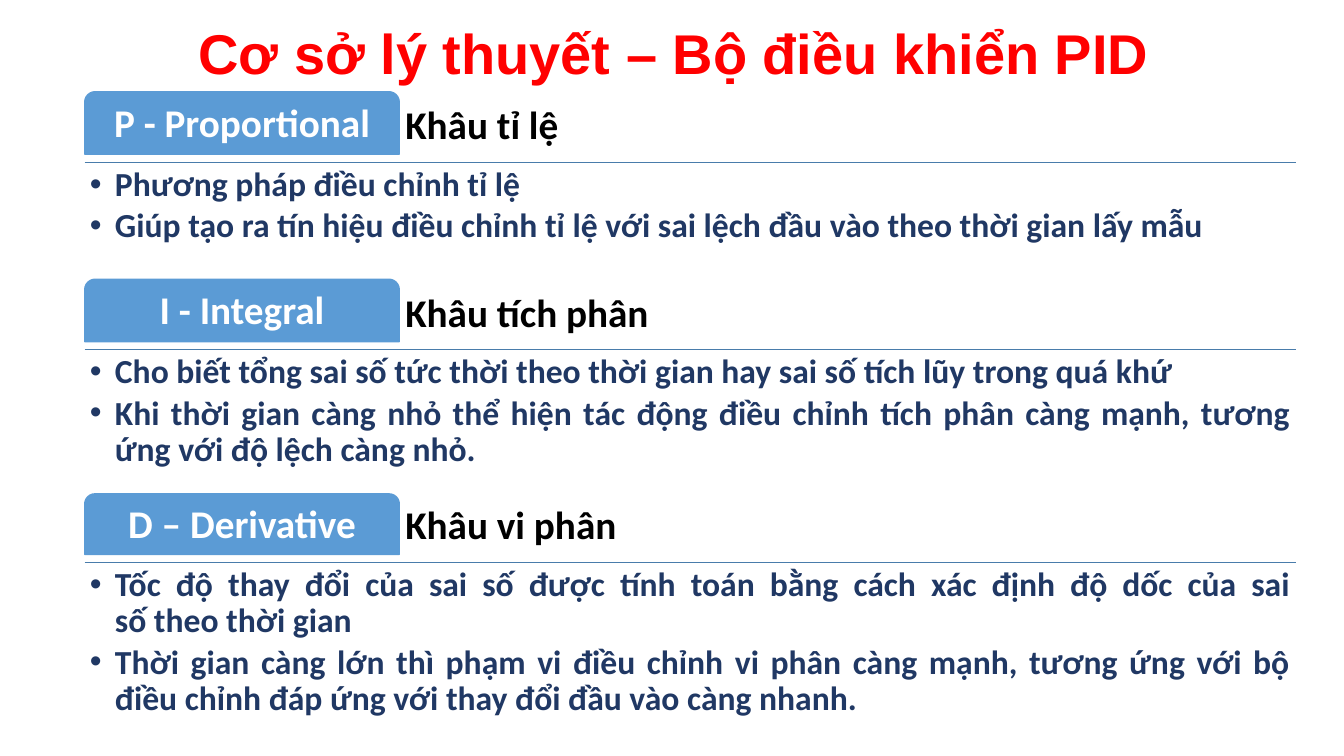
from dataclasses import dataclass

import pptx
import pptx.dml.color
import pptx.enum.shapes
import pptx.enum.text
import pptx.oxml
import pptx.oxml.ns
import pptx.util

Inches = pptx.util.Inches
Pt = pptx.util.Pt
Align = pptx.enum.text.PP_ALIGN
Anchor = pptx.enum.text.MSO_ANCHOR


@dataclass(frozen=True)
class Theme:
    title_font: str = "Arial"
    body_font: str = "Calibri"
    title_size: int = 40
    heading_size: int = 28
    bullet_size: int = 24
    red: str = "FF0000"
    blue: str = "5B9BD5"
    rule: str = "497CAB"
    navy: str = "203864"
    black: str = "000000"
    white: str = "FFFFFF"


THEME = Theme()
LEFT, WIDTH = 0.84, 12.01
TAB_WIDTH = 3.12
RULE_GAP = 0.08  # from the bottom of a tab to its rule

# Tab top, tab height, list height, tab text, heading, bullets
SECTIONS = [
    (0.91, 0.62, 1.13, "P - Proportional", "Khâu tỉ lệ", [
        "Phương pháp điều chỉnh tỉ lệ",
        "Giúp tạo ra tín hiệu điều chỉnh tỉ lệ với sai lệch đầu vào theo thời gian lấy mẫu",
    ]),
    (2.77, 0.62, 1.38, "I - Integral", "Khâu tích phân", [
        "Cho biết tổng sai số tức thời theo thời gian hay sai số tích lũy trong quá khứ",
        "Khi thời gian càng nhỏ thể hiện tác động điều chỉnh tích phân càng mạnh, "
        "tương ứng với độ lệch càng nhỏ.",
    ]),
    (4.9, 0.6, 1.7, "D – Derivative", "Khâu vi phân", [
        "Tốc độ thay đổi của sai số được tính toán bằng cách xác định độ dốc của sai\n"
        "số theo thời gian",
        "Thời gian càng lớn thì phạm vi điều chỉnh vi phân càng mạnh, tương ứng với bộ "
        "điều chỉnh đáp ứng với thay đổi đầu vào càng nhanh.",
    ]),
]


def rgb(value):
    return pptx.dml.color.RGBColor.from_string(value)


def place(shape, left, top, width, height):
    shape.left, shape.top = Inches(left), Inches(top)
    shape.width, shape.height = Inches(width), Inches(height)


def set_frame(shape, anchor, inset, wrap=True):
    frame = shape.text_frame
    frame.auto_size = pptx.enum.text.MSO_AUTO_SIZE.NONE
    frame.word_wrap = wrap
    frame.vertical_anchor = anchor
    frame.margin_left = frame.margin_right = Inches(inset)
    frame.margin_top = frame.margin_bottom = Inches(inset)
    return frame


def write(paragraph, text, size, color, align, font=THEME.body_font, spacing=0.9):
    paragraph.alignment = align
    paragraph.line_spacing = spacing
    paragraph.space_before = Pt(0)
    for index, line in enumerate(text.split("\n")):
        if index:
            paragraph.add_line_break()
        run = paragraph.add_run()
        run.text = line
        run.font.name = font
        run.font.size = Pt(size)
        run.font.bold = True
        run.font.color.rgb = rgb(color)


def set_bullet(paragraph):
    properties = paragraph._p.get_or_add_pPr()
    properties.set("marL", str(Inches(0.25)))
    properties.set("indent", str(Inches(-0.25)))
    for tag, name, value in (("a:buFont", "typeface", "Arial"), ("a:buChar", "char", "•")):
        element = pptx.oxml.parse_xml(f"<{tag} {pptx.oxml.ns.nsdecls('a')}/>")
        element.set(name, value)
        properties.append(element)


def add_title(slide, text):
    title = slide.shapes.title
    place(title, 1.85, 0.13, 9.66, 0.77)
    frame = set_frame(title, Anchor.MIDDLE, 0.05, wrap=False)
    write(frame.paragraphs[0], text, THEME.title_size, THEME.red, Align.CENTER,
          THEME.title_font, 1.0)


def add_tab(slide, top, height, text):
    tab = slide.shapes.add_shape(
        pptx.enum.shapes.MSO_SHAPE.ROUND_2_SAME_RECTANGLE,
        Inches(LEFT), Inches(top), Inches(TAB_WIDTH), Inches(height))
    tab.adjustments[0] = 0.167
    tab.shadow.inherit = False
    tab.fill.solid()
    tab.fill.fore_color.rgb = rgb(THEME.blue)
    tab.line.color.rgb = rgb(THEME.blue)
    tab.line.width = Pt(1)
    frame = set_frame(tab, Anchor.MIDDLE, 0.06)
    write(frame.paragraphs[0], text, THEME.heading_size, THEME.white, Align.CENTER)


def add_heading(slide, top, height, text):
    heading = slide.shapes.add_textbox(
        Inches(LEFT + TAB_WIDTH), Inches(top), Inches(WIDTH - TAB_WIDTH), Inches(height))
    frame = set_frame(heading, Anchor.BOTTOM, 0.06)
    write(frame.paragraphs[0], text, THEME.heading_size, THEME.black, Align.LEFT)


def add_rule(slide, top):
    rule = slide.shapes.add_connector(
        pptx.enum.shapes.MSO_CONNECTOR.STRAIGHT,
        Inches(LEFT), Inches(top), Inches(LEFT + WIDTH), Inches(top))
    rule.line.color.rgb = rgb(THEME.rule)
    rule.line.width = Pt(1)
    rule._element.spPr.append(
        pptx.oxml.parse_xml(f"<a:effectLst {pptx.oxml.ns.nsdecls('a')}/>"))


def fill_list(placeholder, top, height, bullets):
    place(placeholder, LEFT, top, WIDTH, height)
    frame = set_frame(placeholder, Anchor.TOP, 0.05)
    for index, text in enumerate(bullets):
        paragraph = frame.add_paragraph() if index else frame.paragraphs[0]
        write(paragraph, text, THEME.bullet_size, THEME.navy, Align.JUSTIFY)
        paragraph.space_after = Pt(0.15 * THEME.bullet_size)
        set_bullet(paragraph)


def main():
    presentation = pptx.Presentation()
    presentation.slide_width = Inches(13.33)
    presentation.slide_height = Inches(7.5)

    # The comparison layout has a title and four bodies; three are used
    slide = presentation.slides.add_slide(presentation.slide_layouts[4])
    bodies = [shape for shape in slide.placeholders if shape != slide.shapes.title]
    for unused in bodies[len(SECTIONS):]:
        unused._element.getparent().remove(unused._element)

    add_title(slide, "Cơ sở lý thuyết – Bộ điều khiển PID")

    # One section per controller term
    for body, section in zip(bodies, SECTIONS):
        top, tab_height, list_height, label, heading, bullets = section
        rule_top = top + tab_height + RULE_GAP
        add_rule(slide, rule_top)
        add_heading(slide, top, tab_height, heading)
        add_tab(slide, top, tab_height, label)
        fill_list(body, rule_top, list_height, bullets)

    presentation.save("out.pptx")


if __name__ == "__main__":
    main()
